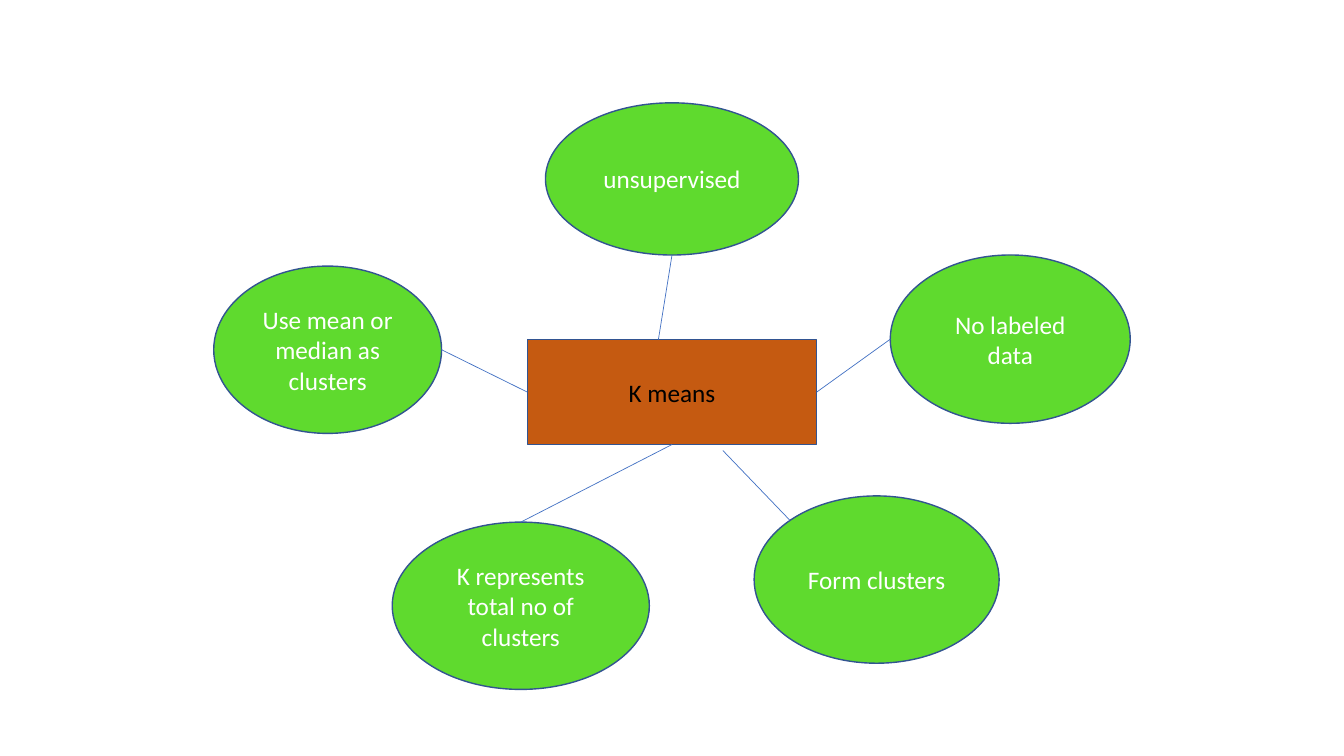
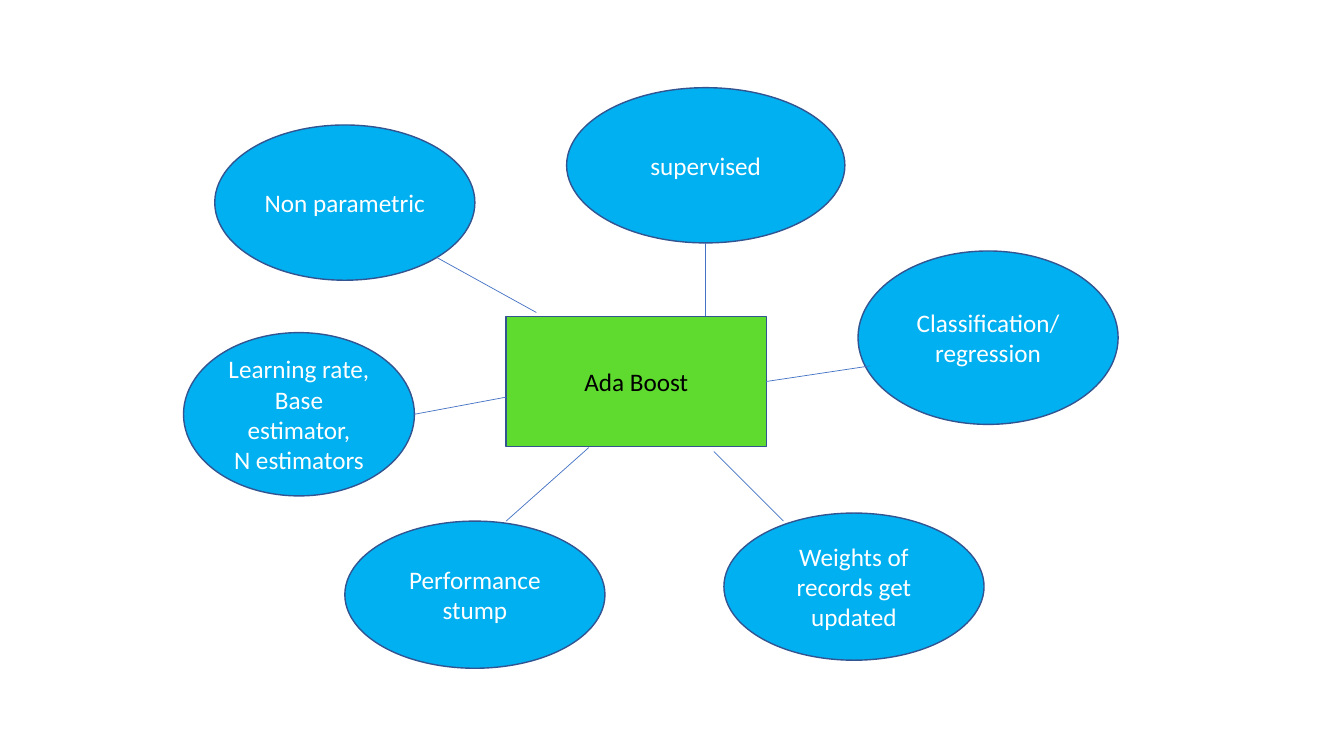
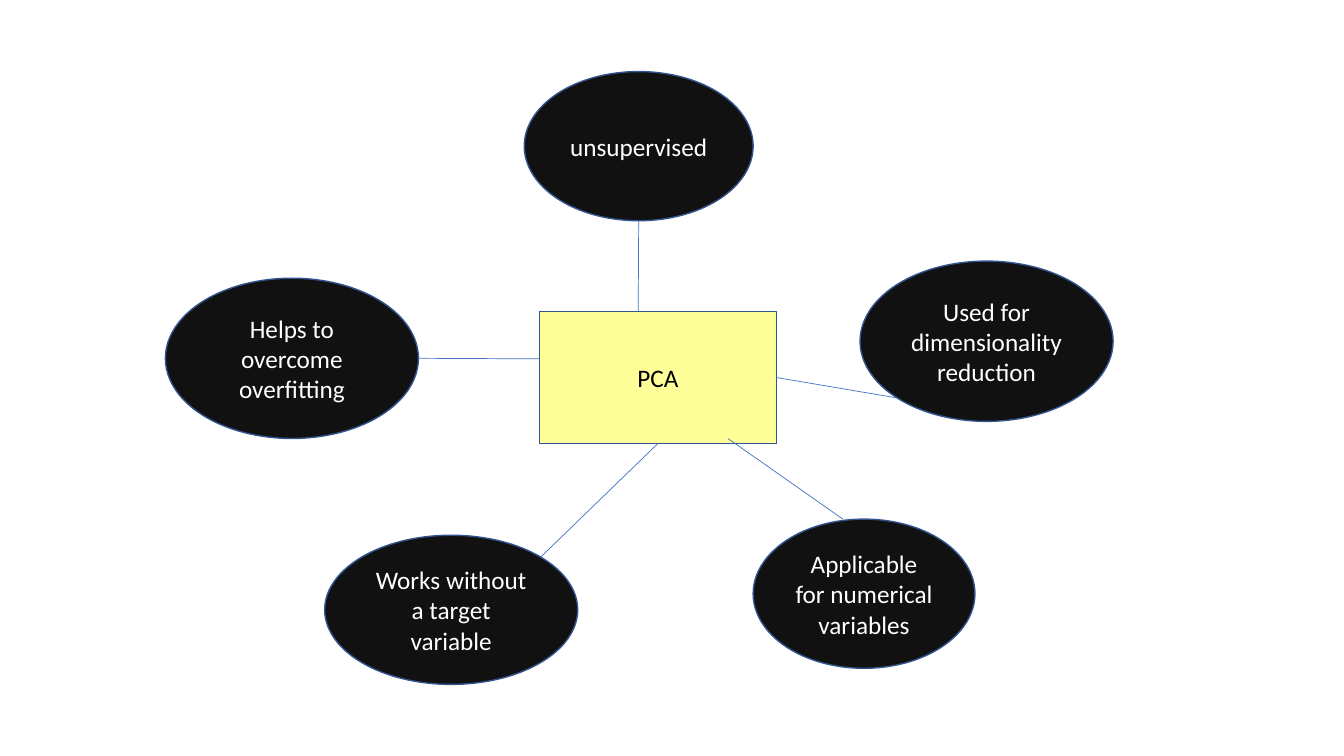
"""Build three mind-map slides about machine learning methods."""
from lxml.etree import SubElement
from pptx import Presentation
from pptx.dml.color import RGBColor
from pptx.enum.shapes import MSO_CONNECTOR, MSO_SHAPE
from pptx.enum.text import MSO_ANCHOR, PP_ALIGN
from pptx.oxml.ns import qn
from pptx.util import Pt

PX = 9144
SIZE = (1333, 750)
FONT = "Calibri"
COLORS = {
    "edge": "325491", "line": "4472C4", "white": "FFFFFF", "black": "000000",
    "rust": "C55A11", "green": "5FDA2E", "blue": "00B0F0",
    "yellow": "FFFF99", "ink": "111111",
}
LEFT, BOTTOM, RIGHT = 1, 2, 3
NEAR, FAR = 0.146, 0.854
SITES = {
    "top": (0.5, 0), "left": (0, 0.5), "bottom": (0.5, 1), "right": (1, 0.5),
    "top left": (NEAR, NEAR), "top right": (FAR, NEAR),
    "bottom left": (NEAR, FAR), "bottom right": (FAR, FAR),
}

MAPS = [
    {
        "hub": ("K means", (523, 337, 287, 104)),
        "fills": ("rust", "green"),
        "nodes": [
            ("unsupervised", (541, 102, 251, 151), "bottom", (653, 337)),
            ("No labeled data", (883, 253, 238, 167), "left", RIGHT),
            ("Form clusters", (748, 492, 243, 166), "top left", (717, 447)),
            ("K represents total no of clusters", (389, 518, 255, 166), "top", BOTTOM),
            ("Use mean or median as clusters", (212, 264, 226, 166), "right", LEFT),
        ],
    },
    {
        "hub": ("Ada Boost", (502, 314, 258, 129)),
        "fills": ("green", "blue"),
        "nodes": [
            ("supervised", (562, 87, 276, 154), "bottom", (700, 314)),
            ("Classification/\nregression", (851, 249, 258, 172), (863, 363), RIGHT),
            ("Weights of records get updated", (718, 509, 258, 146), (777, 517), (708, 448)),
            ("Performance stump", (342, 517, 258, 146), (502, 517), (584, 444)),
            ("Learning rate,\nBase estimator,\nN estimators", (182, 330, 229, 162),
             "right", (502, 394)),
            ("Non parametric", (213, 124, 258, 154), "bottom right", (532, 310)),
        ],
    },
    {
        "hub": ("PCA", (535, 309, 235, 131)),
        "fills": ("yellow", "ink"),
        "nodes": [
            ("unsupervised", (520, 71, 227, 148), "bottom", (633, 309)),
            ("Used for dimensionality reduction", (853, 259, 251, 159), "bottom left", RIGHT),
            ("Applicable for numerical variables", (747, 515, 220, 148), (836, 515), (722, 435)),
            ("Works without a target variable", (322, 531, 251, 148), "top right", BOTTOM),
            ("Helps to overcome overfitting", (164, 276, 251, 159), "right", (535, 356)),
        ],
    },
]


def emu(nums):
    return [round(num * PX) for num in nums]


def paint(name):
    return RGBColor.from_string(COLORS[name])


def add_node(slide, kind, text, box, fill, ink):
    node = slide.shapes.add_shape(kind, *emu(box))
    node.shadow.inherit = False
    node.fill.solid()
    node.fill.fore_color.rgb = paint(fill)
    node.line.color.rgb = paint("edge")
    node.line.width = Pt(1)
    frame = node.text_frame
    frame.word_wrap = True
    frame.vertical_anchor = MSO_ANCHOR.MIDDLE
    frame.text = text
    for para in frame.paragraphs:
        para.alignment = PP_ALIGN.CENTER
        for run in para.runs:
            run.font.name = FONT
            run.font.size = Pt(18)
            run.font.color.rgb = paint(ink)
    return node


def find_site(box, site):
    if site not in SITES:
        return site
    left, top, width, height = box
    across, down = SITES[site]
    return left + width * across, top + height * down


def add_spoke(slide, hub, start, end):
    joined = isinstance(end, int)
    stop = start if joined else end
    spoke = slide.shapes.add_connector(MSO_CONNECTOR.STRAIGHT, *emu((*start, *stop)))
    if joined:
        spoke.end_connect(hub, end)
    spoke.line.color.rgb = paint("line")
    spoke.line.width = Pt(0.5)
    SubElement(spoke._element.spPr, qn("a:effectLst"))


def add_map(slide, data):
    base, fill = data["fills"]
    hub = add_node(slide, MSO_SHAPE.RECTANGLE, *data["hub"], base, "black")
    for text, box, site, end in data["nodes"]:
        add_node(slide, MSO_SHAPE.OVAL, text, box, fill, "white")
        add_spoke(slide, hub, find_site(box, site), end)


def main():
    deck = Presentation()
    deck.slide_width, deck.slide_height = emu(SIZE)
    for data in MAPS:
        add_map(deck.slides.add_slide(deck.slide_layouts[6]), data)
    deck.save("out.pptx")


if __name__ == "__main__":
    main()
